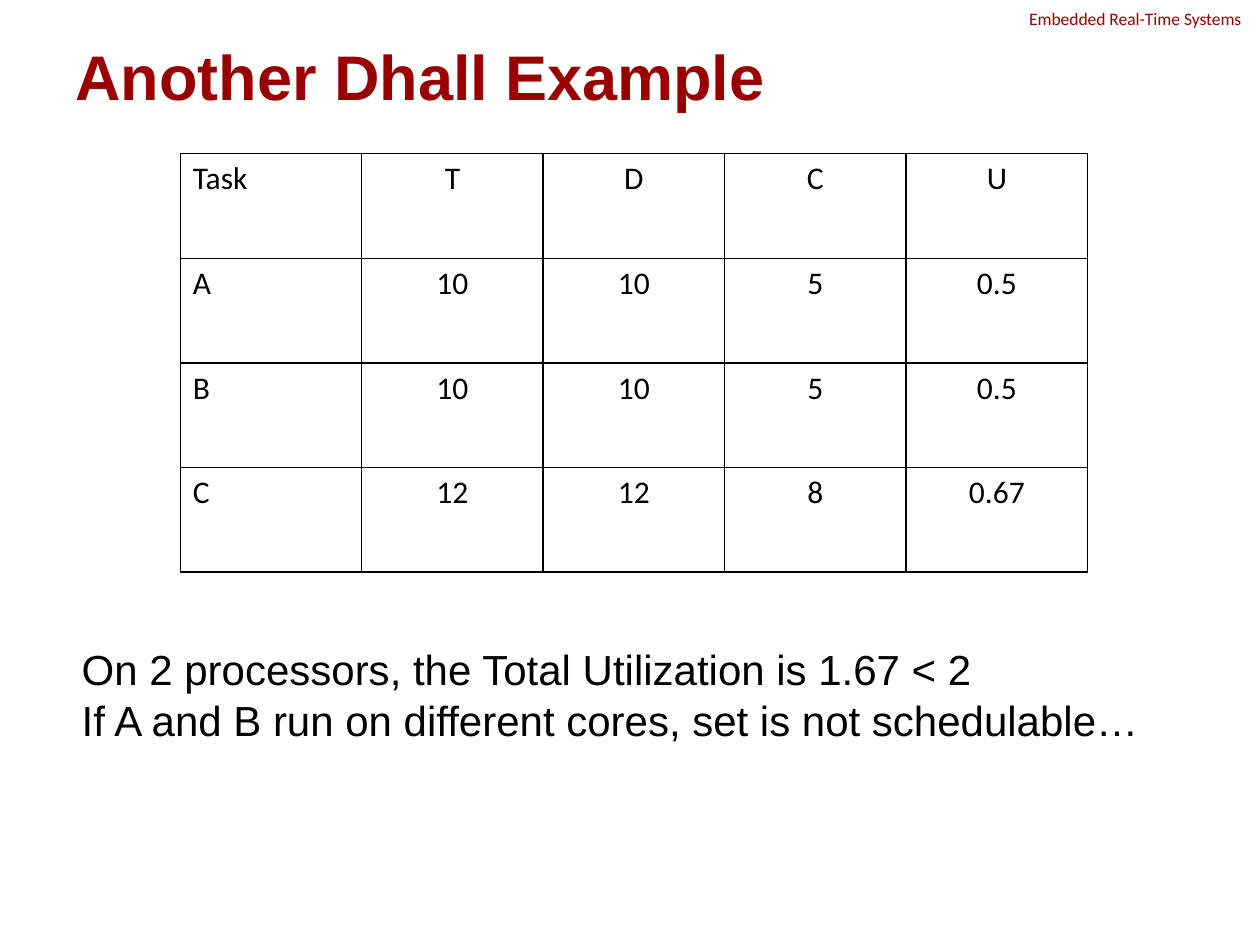
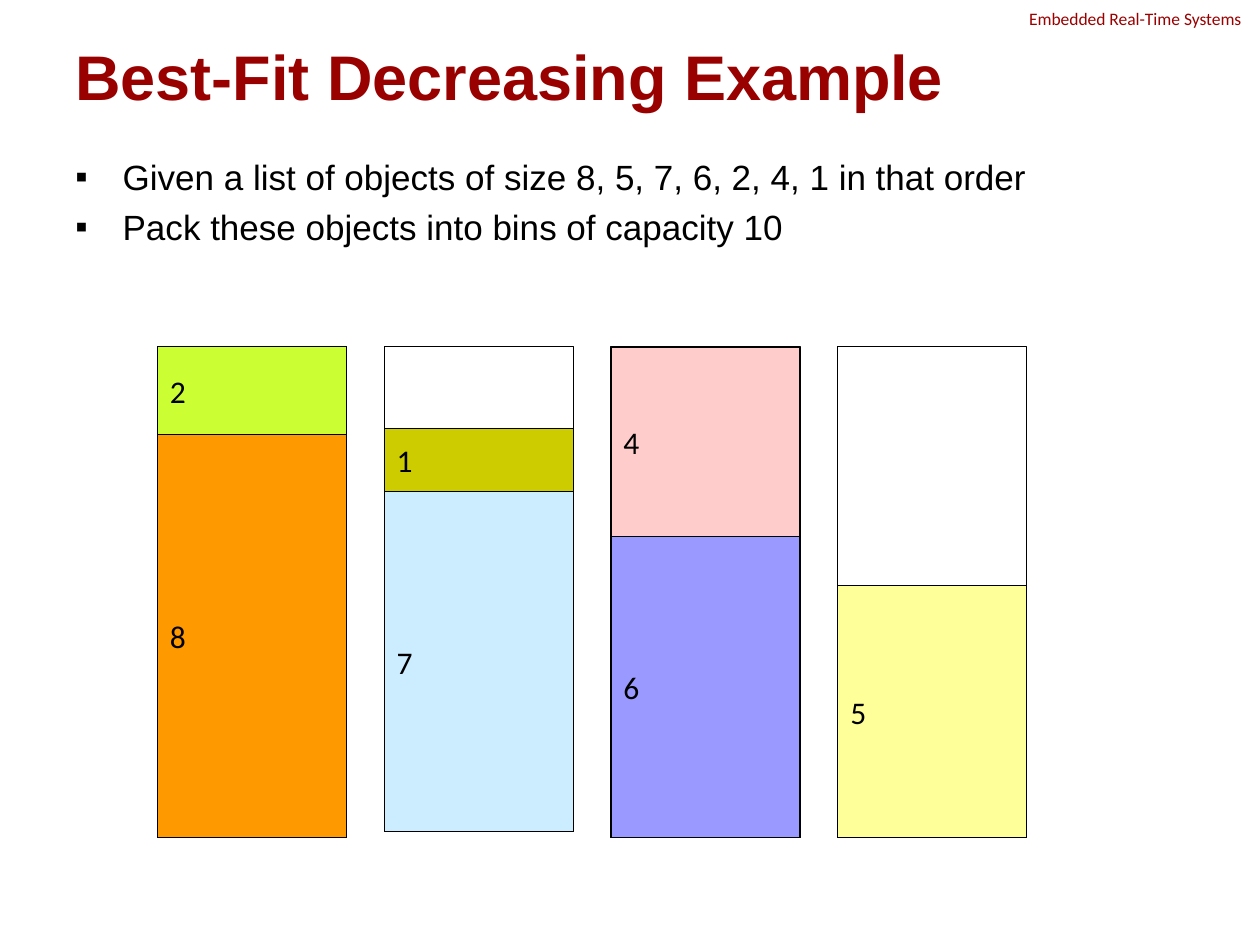
from lxml.etree import SubElement
from pptx import Presentation
from pptx.dml.color import RGBColor
from pptx.enum.shapes import MSO_SHAPE
from pptx.enum.text import MSO_ANCHOR, PP_ALIGN
from pptx.oxml import parse_xml
from pptx.oxml.ns import nsdecls, qn
from pptx.util import Pt

# Content
COURSE = "Embedded Real-Time Systems"
DHALL_TITLE = "Another Dhall Example"
TASKS = [
    ("Task", "T", "D", "C", "U"),
    ("A", "10", "10", "5", "0.5"),
    ("B", "10", "10", "5", "0.5"),
    ("C", "12", "12", "8", "0.67"),
]
CONCLUSION = [
    "On 2 processors, the Total Utilization is 1.67 < 2",
    "If A and B run on different cores, set is not schedulable…",
]
PACKING_TITLE = "Best-Fit Decreasing Example"
PACKING_POINTS = [
    "Given a list of objects of size 8, 5, 7, 6, 2, 4, 1 in that order",
    "Pack these objects into bins of capacity 10",
]

# Colours and fonts
DARK_RED = RGBColor(0x99, 0x00, 0x00)
BLACK = RGBColor(0x00, 0x00, 0x00)
WHITE = RGBColor(0xFF, 0xFF, 0xFF)
ORANGE = RGBColor(0xFF, 0x99, 0x00)
LIME = RGBColor(0xCC, 0xFF, 0x33)
SKY = RGBColor(0xCC, 0xEC, 0xFF)
OLIVE = RGBColor(0xCC, 0xCC, 0x00)
VIOLET = RGBColor(0x99, 0x99, 0xFF)
PINK = RGBColor(0xFF, 0xCC, 0xCC)
YELLOW = RGBColor(0xFF, 0xFF, 0x99)
HEADING_FONT = "Arial"
LABEL_FONT = "Calibri"
LINE_HEIGHT = 1.22

# Bins: height, then the packed objects from the bottom up
BINS = [
    (280.8, [("8", 230.4, ORANGE), ("2", 50.4, LIME)]),
    (277.2, [("7", 194.4, SKY), ("1", 36, OLIVE)]),
    (280.8, [("6", 172, VIOLET), ("4", 108, PINK)]),
    (280.8, [("5", 144, YELLOW)]),
]
BIN_LEFT, BIN_TOP, BIN_WIDTH, BIN_GAP = 90, 198, 108, 21.6


def style_font(paragraph, name, size, color=BLACK, bold=False):
    font = paragraph.font
    font.name, font.size, font.bold = name, Pt(size), bold
    font.color.rgb = color


def add_bullet(paragraph, indent=27):
    properties = paragraph._p.get_or_add_pPr()
    properties.set("marL", str(Pt(indent)))
    properties.set("indent", str(-Pt(indent)))
    SubElement(properties, qn("a:buFont")).set("typeface", HEADING_FONT)
    SubElement(properties, qn("a:buChar")).set("char", "▪")


def add_text(slide, box, lines, size, font=HEADING_FONT, color=BLACK, bold=False,
             anchor=MSO_ANCHOR.TOP, wrap=True, bullets=False):
    frame = slide.shapes.add_textbox(*map(Pt, box)).text_frame
    frame.word_wrap = wrap
    frame.vertical_anchor = anchor
    frame.text = "\n".join(lines)
    for index, paragraph in enumerate(frame.paragraphs):
        paragraph.line_spacing = Pt(round(size * LINE_HEIGHT, 1))
        if bullets:
            if index:
                paragraph.space_before = Pt(size * 0.2)
            add_bullet(paragraph)
        style_font(paragraph, font, size, color, bold)


def add_slide(presentation, title):
    slide = presentation.slides.add_slide(presentation.slide_layouts[6])
    slide.background.fill.solid()
    slide.background.fill.fore_color.rgb = WHITE
    add_text(slide, (581, 0.7, 163.4, 19.4), [COURSE], 10, LABEL_FONT, DARK_RED, wrap=False)
    add_text(slide, (36, 21.6, 648, 41.8), [title], 36, color=DARK_RED, bold=True,
             anchor=MSO_ANCHOR.MIDDLE)
    return slide


def add_borders(cell, width=1):
    properties = cell._tc.get_or_add_tcPr()
    for position, side in enumerate(("lnL", "lnR", "lnT", "lnB")):
        border = parse_xml(
            f'<a:{side} {nsdecls("a")} w="{Pt(width)}"><a:solidFill>'
            f'<a:srgbClr val="{BLACK}"/></a:solidFill></a:{side}>')
        properties.insert(position, border)


def add_task_table(slide, left=103, top=87.8, column_width=103.7, row_height=59.8):
    rows, columns = len(TASKS), len(TASKS[0])
    table = slide.shapes.add_table(rows, columns, Pt(left), Pt(top), Pt(column_width * columns),
                                   Pt(row_height * rows)).table
    table.first_row = table.horz_banding = False
    for column in table.columns:
        column.width = Pt(column_width)
    for row, values in enumerate(TASKS):
        table.rows[row].height = Pt(row_height)
        for column, value in enumerate(values):
            cell = table.cell(row, column)
            cell.fill.background()
            add_borders(cell)
            cell.text = value
            paragraph = cell.text_frame.paragraphs[0]
            paragraph.alignment = PP_ALIGN.CENTER if column else PP_ALIGN.LEFT
            style_font(paragraph, LABEL_FONT, 18)


def add_block(slide, left, top, height, fill=None, label=None):
    shape = slide.shapes.add_shape(MSO_SHAPE.RECTANGLE, Pt(left), Pt(top), Pt(BIN_WIDTH),
                                   Pt(height))
    shape.shadow.inherit = False
    shape.line.color.rgb = BLACK
    shape.line.width = Pt(0.75)
    if fill is None:
        shape.fill.background()
        return
    shape.fill.solid()
    shape.fill.fore_color.rgb = fill
    frame = shape.text_frame
    frame.word_wrap = False
    frame.vertical_anchor = MSO_ANCHOR.MIDDLE
    frame.text = label
    frame.paragraphs[0].alignment = PP_ALIGN.LEFT
    style_font(frame.paragraphs[0], LABEL_FONT, 18)


def add_bins(slide):
    for index, (bin_height, packed_objects) in enumerate(BINS):
        left = BIN_LEFT + index * (BIN_WIDTH + BIN_GAP)
        top = BIN_TOP + bin_height
        for label, height, fill in packed_objects:
            top -= height
            add_block(slide, left, top, height, fill, label)
        add_block(slide, left, BIN_TOP, bin_height)


def main():
    presentation = Presentation()
    presentation.slide_width, presentation.slide_height = Pt(720), Pt(540)

    # Task set that cannot be scheduled
    slide = add_slide(presentation, DHALL_TITLE)
    add_task_table(slide)
    add_text(slide, (39.6, 363.6, 632, 65.5), CONCLUSION, 24)

    # Objects packed into bins
    slide = add_slide(presentation, PACKING_TITLE)
    add_text(slide, (36, 85, 648, 397.4), PACKING_POINTS, 20, bullets=True)
    add_bins(slide)

    presentation.save("out.pptx")


if __name__ == "__main__":
    main()
